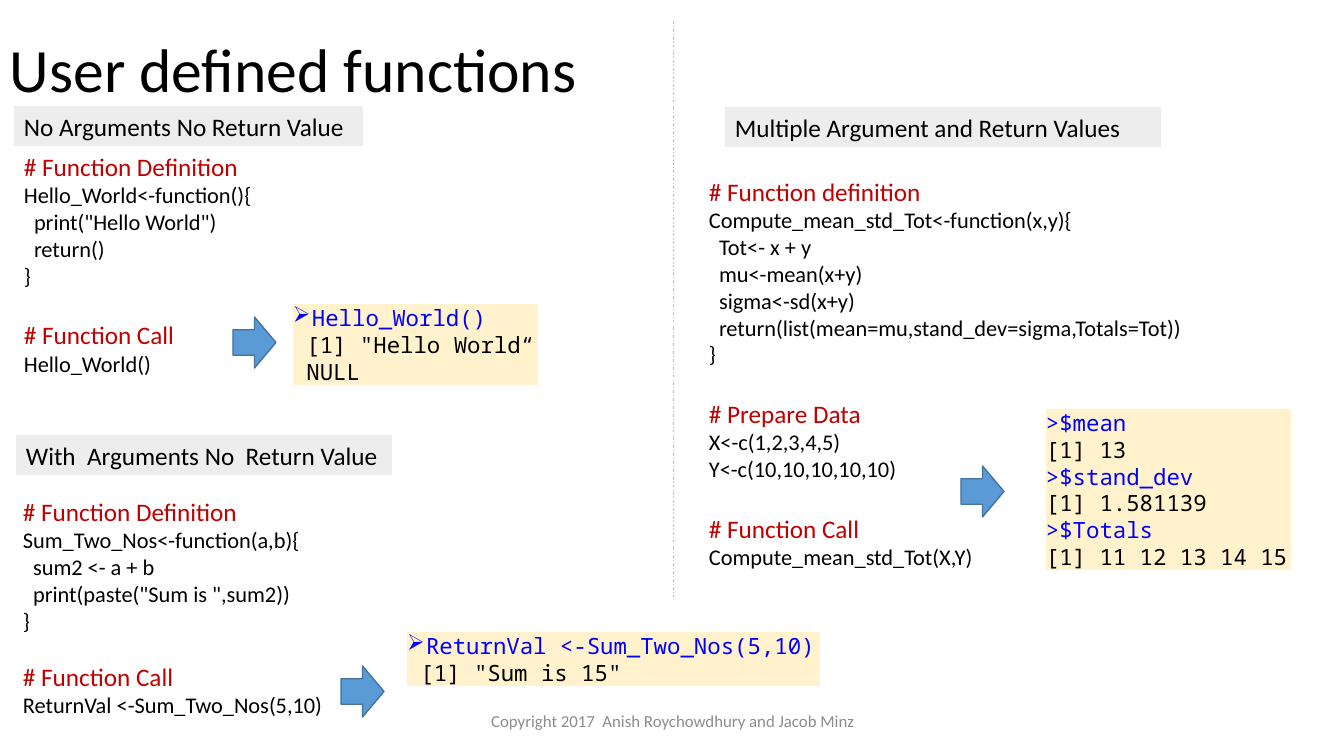
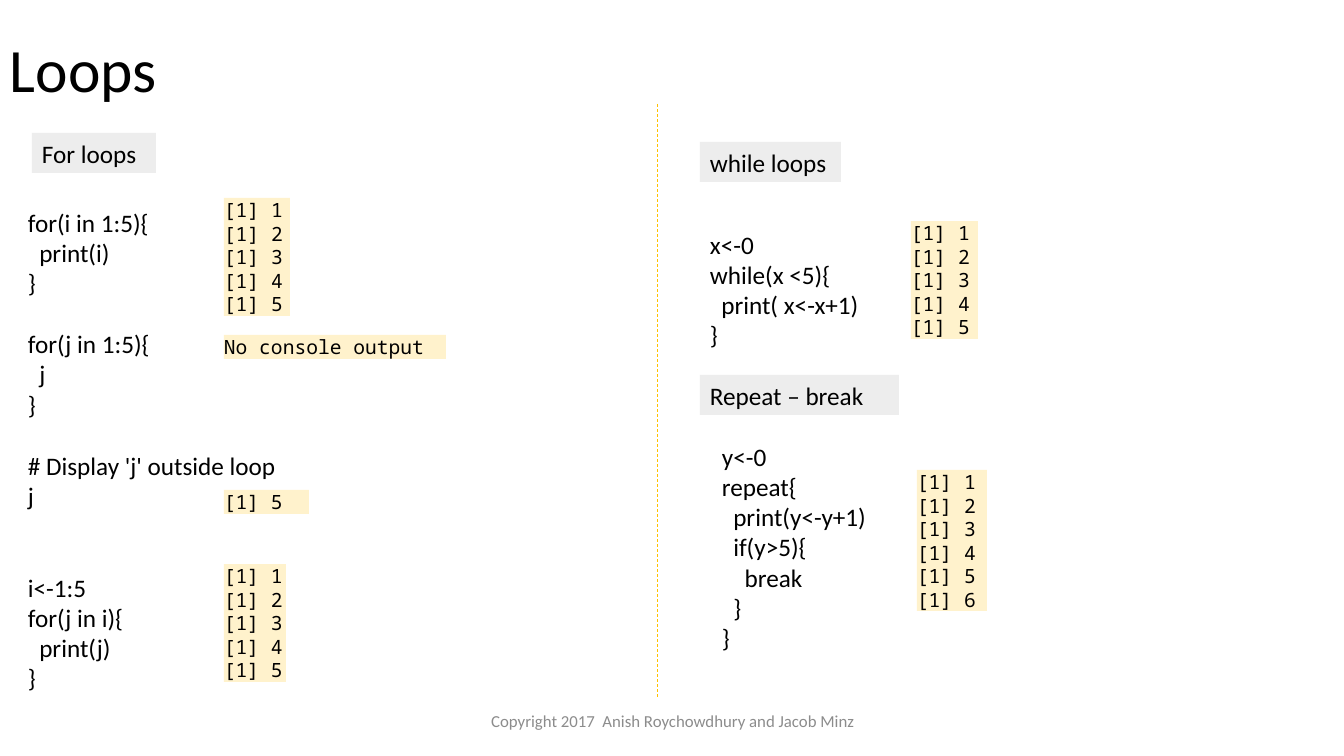
from dataclasses import dataclass
from lxml.etree import SubElement
from pptx import Presentation
from pptx.dml.color import RGBColor
from pptx.enum.dml import MSO_LINE
from pptx.enum.shapes import MSO_CONNECTOR, MSO_SHAPE
from pptx.enum.text import MSO_ANCHOR, PP_ALIGN
from pptx.oxml.ns import qn
from pptx.util import Emu, Pt


@dataclass(frozen=True)
class Theme:
    """Colours, fonts and type sizes shared by all slides."""
    text_font: str = "Calibri"
    console_font: str = "Noto Sans Mono"
    ink: str = "000000"
    heading: str = "C00000"
    prompt: str = "0000FF"
    label_fill: str = "EDEDED"
    console_fill: str = "FFF2CC"
    arrow_fill: str = "5B9BD5"
    arrow_line: str = "43739E"
    divider: str = "FFC000"
    footer: str = "8C8C8C"
    title_size: int = 44
    body_size: int = 18
    code_size: int = 16
    small_size: int = 14
    footer_size: int = 12
    text_space: float = 0.226
    console_space: float = 0.6
    text_line: float = 1.22
    console_line: float = 1.68


THEME = Theme()
EMU_PER_PIXEL = 914400 / 100.8
FOOTER = "Copyright 2017  Anish Roychowdhury and Jacob Minz"
ONE_TO_FIVE = "\n".join(f"[1] {number}" for number in range(1, 6))
ONE_TO_SIX = ONE_TO_FIVE + "\n[1] 6"


def px(length):
    """Turn pixels into EMU."""
    return Emu(round(length * EMU_PER_PIXEL))


def color(value):
    """Turn a hexadecimal string into a colour."""
    return RGBColor.from_string(value)


def inside(origin, box):
    """Move a relative box to its origin."""
    return (origin[0] + box[0], origin[1] + box[1], *box[2:])


def write(paragraph, text, size, ink=THEME.ink, font=THEME.text_font):
    """Fill a paragraph and format its runs."""
    paragraph.text = text
    for run in paragraph.runs:
        run.font.name = font
        run.font.size = Pt(size)
        run.font.color.rgb = color(ink)


def indent(paragraph, left, first=0):
    """Set the left and first-line indents of a paragraph."""
    properties = paragraph._p.get_or_add_pPr()
    properties.set("marL", str(int(left)))
    properties.set("indent", str(int(first)))
    return properties


def paragraphs(text_frame, count):
    """Return the given number of paragraphs of a new text frame."""
    for _ in range(count - 1):
        text_frame.add_paragraph()
    return text_frame.paragraphs


def text_box(slide, box, anchor=MSO_ANCHOR.TOP):
    """Add a wrapping text box and return its frame."""
    text_frame = slide.shapes.add_textbox(*map(px, box)).text_frame
    text_frame.word_wrap = True
    text_frame.vertical_anchor = anchor
    return text_frame


def filled_shape(slide, kind, box, fill, line=None):
    """Add a flat preset shape."""
    shape = slide.shapes.add_shape(kind, *map(px, box))
    shape.shadow.inherit = False
    shape.fill.solid()
    shape.fill.fore_color.rgb = color(fill)
    if line:
        shape.line.color.rgb = color(line)
        shape.line.width = Pt(1)
    else:
        shape.line.fill.background()
    return shape


def add_label(slide, box, text):
    """Add the grey heading of a panel."""
    shape = filled_shape(slide, MSO_SHAPE.RECTANGLE, (*box, 40), THEME.label_fill)
    text_frame = shape.text_frame
    text_frame.vertical_anchor = MSO_ANCHOR.TOP
    paragraph = text_frame.paragraphs[0]
    paragraph.alignment = PP_ALIGN.LEFT
    write(paragraph, text, THEME.body_size)


def add_code(slide, box, source, size, heading, gap_size=THEME.body_size):
    """Add a listing whose empty lines become spacing and leading spaces indents."""
    lines = source.split("\n")
    remaining = iter(paragraphs(text_box(slide, box), sum(map(bool, lines))))
    gap = 0
    for line in lines:
        if not line:
            gap += gap_size * THEME.text_line
            continue
        paragraph = next(remaining)
        text = line.lstrip()
        if text.startswith("#"):
            write(paragraph, text, THEME.body_size, heading)
        else:
            write(paragraph, text, size)
        if gap:
            paragraph.space_before = Pt(gap)
        indent(paragraph, Pt((len(line) - len(text)) * size * THEME.text_space))
        gap = 0


def add_console(slide, box, output, size):
    """Add a console output as tall as its lines."""
    lines = output.split("\n")
    height = round(len(lines) * size * THEME.console_line)
    shape = filled_shape(slide, MSO_SHAPE.RECTANGLE, (*box, height), THEME.console_fill)
    text_frame = shape.text_frame
    text_frame.word_wrap = True
    text_frame.vertical_anchor = MSO_ANCHOR.MIDDLE
    text_frame.margin_left = text_frame.margin_right = 0
    text_frame.margin_top = text_frame.margin_bottom = 0
    for paragraph, line in zip(paragraphs(text_frame, len(lines)), lines):
        text = line.lstrip(" ➢")
        paragraph.alignment = PP_ALIGN.LEFT
        ink = THEME.prompt if line[0] in "➢>" else THEME.ink
        write(paragraph, text, size, ink, THEME.console_font)
        if line.startswith("➢"):
            properties = indent(paragraph, px(19), -px(19))
            SubElement(properties, qn("a:buChar")).set("char", "➢")
        else:
            spaces = len(line) - len(text)
            indent(paragraph, Pt(spaces * size * THEME.console_space))


def add_arrow(slide, position):
    """Add the arrow that leads from code to output."""
    filled_shape(slide, MSO_SHAPE.RIGHT_ARROW, (*position, 43, 51),
                 THEME.arrow_fill, THEME.arrow_line)


def add_divider(slide, x, top, bottom, dash):
    """Add the dashed line between the columns."""
    connector = slide.shapes.add_connector(
        MSO_CONNECTOR.STRAIGHT, px(x), px(top), px(x), px(bottom))
    connector.line.color.rgb = color(THEME.divider)
    connector.line.width = Pt(0.5)
    connector.line.dash_style = dash
    SubElement(connector._element.spPr, qn("a:effectLst"))


def add_example(slide, origin, label, code, console, arrow, gap_size=THEME.body_size):
    """Add a function example with its call and result."""
    code_box, source = code
    console_box, output = console
    add_label(slide, inside(origin, label[0]), label[1])
    add_code(slide, inside(origin, code_box), source, THEME.code_size,
             THEME.heading, gap_size)
    add_arrow(slide, inside(origin, arrow))
    add_console(slide, inside(origin, console_box), output, THEME.code_size)


def add_loop(slide, origin, label, code, consoles):
    """Add a loop example with its console outputs."""
    code_box, source = code
    add_label(slide, inside(origin, label[0]), label[1])
    add_code(slide, inside(origin, code_box), source, THEME.body_size, THEME.ink)
    for console_box, output in consoles:
        add_console(slide, inside(origin, console_box), output, THEME.small_size)


def new_slide(presentation, title):
    """Add a blank slide with its title and footer."""
    slide = presentation.slides.add_slide(presentation.slide_layouts[6])
    heading = text_box(slide, (0, 0, 609, 146), MSO_ANCHOR.MIDDLE).paragraphs[0]
    heading.line_spacing = 0.9
    write(heading, title, THEME.title_size)
    footer = text_box(slide, (446, 701, 454, 40), MSO_ANCHOR.MIDDLE).paragraphs[0]
    footer.alignment = PP_ALIGN.CENTER
    write(footer, FOOTER, THEME.footer_size, THEME.footer)
    return slide


def build_functions(presentation):
    """Build the slide on user defined functions."""
    slide = new_slide(presentation, "User defined functions")
    add_divider(slide, 673, 21, 598, MSO_LINE.DASH_DOT)
    add_example(
        slide, (14, 106),
        ((0, 0, 349), "No Arguments No Return Value"),
        ((0, 40, 454, 238), """# Function Definition
Hello_World<-function(){
  print("Hello World")
  return()
}

# Function Call
Hello_World()"""),
        ((279, 198, 245), '➢Hello_World()\n [1] "Hello World“\n NULL'),
        (219, 211))
    add_example(
        slide, (14, 435),
        ((2, 0, 376), "With  Arguments No  Return Value"),
        ((-1, 56, 672, 238), """# Function Definition
Sum_Two_Nos<-function(a,b){
  sum2 <- a + b
  print(paste("Sum is ",sum2))
}

# Function Call
ReturnVal <-Sum_Two_Nos(5,10)"""),
        ((393, 197, 413), '➢ReturnVal <-Sum_Two_Nos(5,10)\n [1] "Sum is 15"'),
        (327, 231), THEME.code_size)
    add_example(
        slide, (699, 107),
        ((26, 0, 436), "Multiple Argument and Return Values"),
        ((0, 64, 568, 417), """# Function definition
Compute_mean_std_Tot<-function(x,y){
  Tot<- x + y
  mu<-mean(x+y)
  sigma<-sd(x+y)
  return(list(mean=mu,stand_dev=sigma,Totals=Tot))
}

# Prepare Data
X<-c(1,2,3,4,5)
Y<-c(10,10,10,10,10)

# Function Call
Compute_mean_std_Tot(X,Y)"""),
        ((347, 302, 245), """>$mean
[1] 13
>$stand_dev
[1] 1.581139
>$Totals
[1] 11 12 13 14 15"""),
        (262, 359))


def build_loops(presentation):
    """Build the slide on loops."""
    slide = new_slide(presentation, "Loops")
    add_divider(slide, 657, 104, 698, MSO_LINE.DASH)
    add_loop(
        slide, (18, 133), ((14, 0, 124), "For loops"),
        ((0, 69, 280, 499), """for(i in 1:5){
  print(i)
}

for(j in 1:5){
  j
}

# Display 'j' outside loop
j


i<-1:5
for(j in i){
  print(j)
}"""),
        [((206, 65, 66), ONE_TO_FIVE), ((206, 202, 222), "No console output"),
         ((206, 357, 85), "[1] 5"), ((206, 431, 62), ONE_TO_FIVE)])
    add_loop(
        slide, (700, 142), ((0, 0, 141), "while loops"),
        ((0, 82, 184, 132), "x<-0\nwhile(x <5){\n  print( x<-x+1)\n}"),
        [((211, 79, 67), ONE_TO_FIVE)])
    add_loop(
        slide, (700, 375), ((0, 0, 199), "Repeat – break"),
        ((12, 61, 600, 224),
         "y<-0\nrepeat{\n  print(y<-y+1)\n  if(y>5){\n    break\n  }\n}"),
        [((217, 95, 70), ONE_TO_SIX)])


def main():
    """Build and save the presentation."""
    presentation = Presentation()
    presentation.slide_width, presentation.slide_height = px(1344), px(756)
    build_functions(presentation)
    build_loops(presentation)
    presentation.save("out.pptx")


if __name__ == "__main__":
    main()
